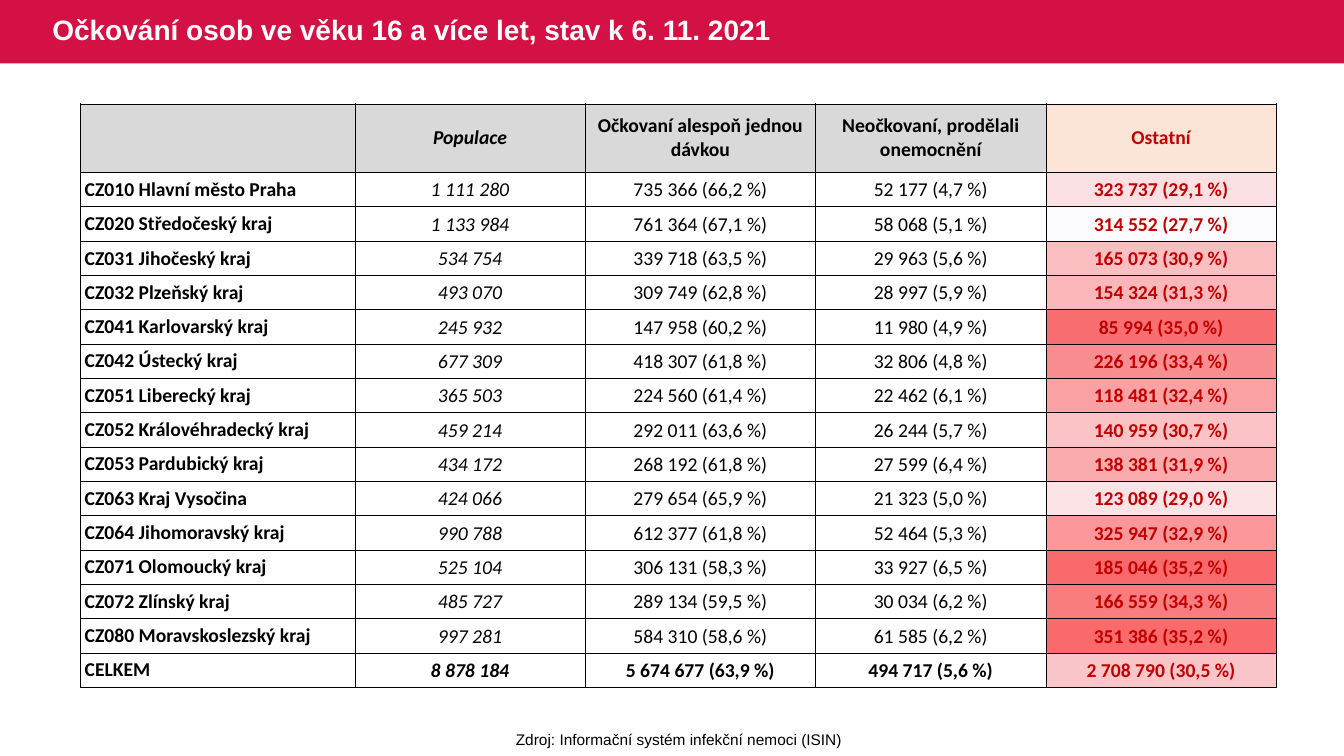
from dataclasses import dataclass
from math import ceil

from lxml import etree
from pptx import Presentation
from pptx.dml.color import RGBColor
from pptx.enum.shapes import MSO_SHAPE
from pptx.enum.text import MSO_ANCHOR, PP_ALIGN
from pptx.oxml.ns import qn
from pptx.util import Inches, Pt

RECTANGLE = MSO_SHAPE.RECTANGLE
MIDDLE, TOP = MSO_ANCHOR.MIDDLE, MSO_ANCHOR.TOP
LEFT, CENTER = PP_ALIGN.LEFT, PP_ALIGN.CENTER


@dataclass(frozen=True)
class Theme:
    banner: str = "D31145"
    white: str = "FFFFFF"
    black: str = "000000"
    header: str = "D9D9D9"
    others_header: str = "FCE4D6"
    others_text: str = "C00000"
    heat_low: str = "FCFCFF"
    heat_high: str = "F8696B"
    heading_font: str = "Arial"
    table_font: str = "Calibri"
    title_size: float = 20
    table_size: float = 14
    source_size: float = 11
    border_width: float = 0.5


THEME = Theme()

TITLE = "Očkování osob ve věku 16 a více let, stav k 6. 11. 2021"
SOURCE = "Zdroj: Informační systém infekční nemoci (ISIN)"
HEADERS = ("", "Populace", "Očkovaní alespoň jednou dávkou",
           "Neočkovaní, prodělali onemocnění", "Ostatní")
POPULATION_COL, OTHERS_COL = 1, 4

# Region, population, vaccinated, unvaccinated but recovered
REGIONS = (
    ("CZ010 Hlavní město Praha", 1111280, 735366, 52177),
    ("CZ020 Středočeský kraj", 1133984, 761364, 58068),
    ("CZ031 Jihočeský kraj", 534754, 339718, 29963),
    ("CZ032 Plzeňský kraj", 493070, 309749, 28997),
    ("CZ041 Karlovarský kraj", 245932, 147958, 11980),
    ("CZ042 Ústecký kraj", 677309, 418307, 32806),
    ("CZ051 Liberecký kraj", 365503, 224560, 22462),
    ("CZ052 Královéhradecký kraj", 459214, 292011, 26244),
    ("CZ053 Pardubický kraj", 434172, 268192, 27599),
    ("CZ063 Kraj Vysočina", 424066, 279654, 21323),
    ("CZ064 Jihomoravský kraj", 990788, 612377, 52464),
    ("CZ071 Olomoucký kraj", 525104, 306131, 33927),
    ("CZ072 Zlínský kraj", 485727, 289134, 30034),
    ("CZ080 Moravskoslezský kraj", 997281, 584310, 61585),
    ("CELKEM", 8878184, 5674677, 494717),
)


def set_attributes(target, values):
    for name, value in values.items():
        setattr(target, name, value)


def write(frame, text, color, align=LEFT, **font):
    """Put one formatted paragraph in a text frame and return it."""
    paragraph = frame.paragraphs[0]
    paragraph.alignment = align
    run = paragraph.add_run()
    run.text = text
    set_attributes(run.font, font)
    run.font.color.rgb = RGBColor.from_string(color)
    return paragraph


def add_banner(slide, left, top, width, height):
    band = slide.shapes.add_shape(
        RECTANGLE, Inches(left), Inches(top), Inches(width), Inches(height))
    band.shadow.inherit = False
    band.fill.solid()
    band.fill.fore_color.rgb = RGBColor.from_string(THEME.banner)
    band.line.fill.background()


def add_title(slide, left, top, width, height):
    title = slide.shapes.add_textbox(
        Inches(left), Inches(top), Inches(width), Inches(height))
    set_attributes(title.text_frame, {"word_wrap": True, "vertical_anchor": MIDDLE})
    paragraph = write(title.text_frame, TITLE, THEME.white, bold=True,
                      name=THEME.heading_font, size=Pt(THEME.title_size))
    paragraph.line_spacing = 0.9


def grouped(number):
    return f"{number:,}".replace(",", " ")


def with_share(count, population):
    share = f"{100 * count / population:.1f}".replace(".", ",")
    return f"{grouped(count)} ({share} %)"


def heat_color(share, lowest, highest):
    """Blend the two heat colours by where the share lies in its range."""
    position = (share - lowest) / (highest - lowest)
    ends = zip(bytes.fromhex(THEME.heat_low), bytes.fromhex(THEME.heat_high))
    return "".join(f"{ceil(low + (high - low) * position):02X}" for low, high in ends)


def add_plain_table(slide, rows, cols, box):
    table = slide.shapes.add_table(rows, cols, *map(Inches, box)).table
    set_attributes(table, {"first_row": False, "horz_banding": False})
    return table


def style_cell(cell, fill, border, side=0, top=0):
    """Set borders, fill and margins; None leaves a fill or border empty."""
    properties = cell._tc.get_or_add_tcPr()
    for edge in ("lnL", "lnR", "lnT", "lnB"):
        line = etree.SubElement(properties, qn(f"a:{edge}"),
                                w=str(Pt(THEME.border_width)))
        if border:
            paint = etree.SubElement(line, qn("a:solidFill"))
            etree.SubElement(paint, qn("a:srgbClr"), val=border)
        else:
            etree.SubElement(line, qn("a:noFill"))
    if fill:
        cell.fill.solid()
        cell.fill.fore_color.rgb = RGBColor.from_string(fill)
    else:
        cell.fill.background()
    set_attributes(cell, {
        "vertical_anchor": MIDDLE, "margin_left": Inches(side),
        "margin_right": Inches(side), "margin_top": Inches(top), "margin_bottom": 0})


def others_count(region):
    _, population, vaccinated, recovered = region
    return population - vaccinated - recovered


def add_heat_column(slide, left, top, width, height):
    """Colour scale that lies behind the column of the others."""
    table = add_plain_table(slide, len(REGIONS), 1, (left, top, width, height))
    shares = [others_count(region) / region[1] for region in REGIONS]
    for row, share in enumerate(shares):
        table.rows[row].height = Inches(height / len(REGIONS))
        style_cell(table.cell(row, 0),
                   heat_color(share, min(shares), max(shares)), None)


def fill_cell(cell, text, row, col):
    is_header, is_total = row == 0, row == len(REGIONS)
    is_label = is_header or col == 0
    is_others = col == OTHERS_COL
    header_fill = THEME.others_header if is_others else THEME.header
    side, top = (0.04, 0) if is_label else (0.01, 0.01)
    style_cell(cell, header_fill if is_header else None, THEME.black, side, top)
    if text:
        write(cell.text_frame, text,
              THEME.others_text if is_others else THEME.black,
              LEFT if col == 0 else CENTER,
              name=THEME.table_font, size=Pt(THEME.table_size),
              bold=is_label or is_total or is_others,
              italic=col == POPULATION_COL)


def add_region_table(slide, left, top, width, height):
    table = add_plain_table(slide, len(REGIONS) + 1, len(HEADERS),
                            (left, top, width, height))
    region_width = 2.72
    count_width = (width - region_width) / (len(HEADERS) - 1)
    for col, column in enumerate(table.columns):
        column.width = Inches(count_width if col else region_width)
    row_height = height / (len(REGIONS) + 2)
    for index, row in enumerate(table.rows):
        row.height = Inches(row_height if index else 2 * row_height)

    lines = [HEADERS]
    for region in REGIONS:
        name, population, *counts = region
        shares = [with_share(count, population)
                  for count in (*counts, others_count(region))]
        lines.append((name, grouped(population), *shares))
    for row, line in enumerate(lines):
        for col, text in enumerate(line):
            fill_cell(table.cell(row, col), text, row, col)


def add_source(slide, left, top, width, height):
    source = slide.shapes.add_textbox(
        Inches(left), Inches(top), Inches(width), Inches(height))
    set_attributes(source.text_frame, {"word_wrap": False, "vertical_anchor": TOP})
    write(source.text_frame, SOURCE, THEME.black, CENTER,
          name=THEME.heading_font, size=Pt(THEME.source_size))


def main():
    presentation = Presentation()
    set_attributes(presentation, {
        "slide_width": Inches(13.33), "slide_height": Inches(7.5)})
    slide = presentation.slides.add_slide(presentation.slide_layouts[6])
    add_banner(slide, 0, 0, 13.33, 0.63)
    add_heat_column(slide, 10.37, 1.71, 2.29, 5.11)
    add_title(slide, 0.42, 0, 8.28, 0.63)
    add_region_table(slide, 0.8, 1.03, 11.86, 5.79)
    add_source(slide, 5.01, 7.19, 3.45, 0.29)
    presentation.save("out.pptx")


if __name__ == "__main__":
    main()
